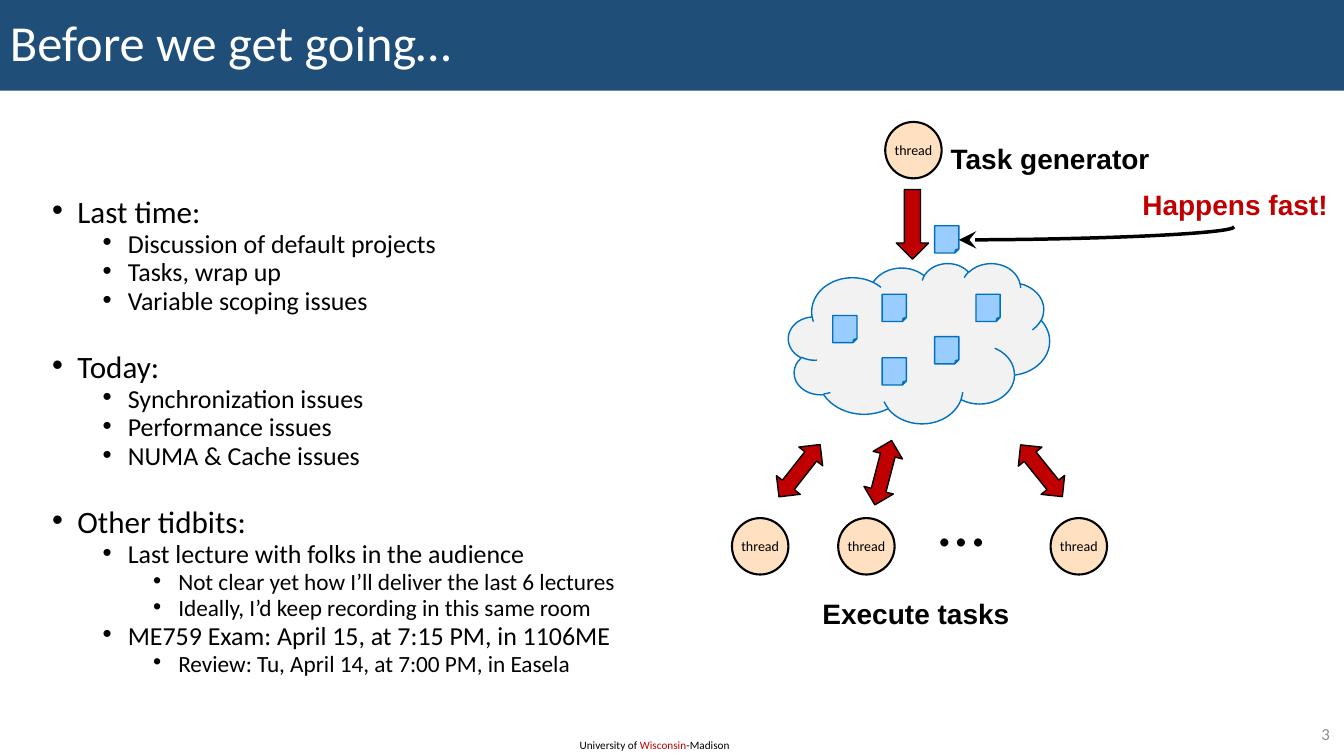
from lxml import etree
from pptx import Presentation
from pptx.dml.color import RGBColor
from pptx.enum.shapes import MSO_CONNECTOR, MSO_SHAPE as Shape
from pptx.enum.text import MSO_ANCHOR as Anchor, PP_ALIGN as Align
from pptx.oxml.ns import qn
from pptx.util import Inches, Pt

COLORS = {
    "band": "1F4E79", "white": "FFFFFF", "black": "000000", "red": "C00000",
    "gray": "8C8C8C", "peach": "FFE0C1", "cloud": "F2F2F2",
    "sheet": "99CCFF", "blue": "0070C0",
}

TITLE = "Before we get going…"
OUTLINE = [
    (0, "Last time:"),
    (1, "Discussion of default projects"),
    (1, "Tasks, wrap up"),
    (1, "Variable scoping issues"),
    (0, "Today:"),
    (1, "Synchronization issues"),
    (1, "Performance issues"),
    (1, "NUMA & Cache issues"),
    (0, "Other tidbits:"),
    (1, "Last lecture with folks in the audience"),
    (2, "Not clear yet how I’ll deliver the last 6 lectures"),
    (2, "Ideally, I’d keep recording in this same room"),
    (1, "ME759 Exam: April 15, at 7:15 PM, in 1106ME"),
    (2, "Review: Tu, April 14, at 7:00 PM, in Easela"),
]
LEVEL_SIZES = [22.2, 18.5, 16.6]
LEVEL_GAPS = [30.5, 5, 5]
FOOTER = [("University of ", "black"), ("Wisconsin", "red"), ("-Madison", "black")]
LABELS = [
    ("Task generator", (9.32, 1.35, 2.19, 0.44), "black"),
    ("Execute tasks", (8.05, 5.87, 2.07, 0.44), "black"),
    ("Happens fast!", (11.22, 1.81, 2.06, 0.44), "red"),
]
SHEETS = [(8.26, 3.13), (8.75, 2.92), (9.68, 2.92), (9.27, 3.34), (8.75, 3.55), (9.27, 2.24)]
WORKER_ARROWS = [(7.78, 4.34, 38.2), (8.61, 4.36, 14.6), (10.18, 4.34, 321.1)]
WORKER_LEFT, WORKER_RIGHT, WORKER_TOP = 7.26, 10.42, 5.14
WORKER_PITCH = (WORKER_RIGHT - WORKER_LEFT) / 3
THREADS = [(8.78, 1.21)] + [
    (WORKER_LEFT + slot * WORKER_PITCH, WORKER_TOP) for slot in (0, 1, 3)
]

deck = Presentation()
deck.slide_width, deck.slide_height = Inches(13.33), Inches(7.5)
page = deck.slides.add_slide(deck.slide_layouts[6])


def color(name):
    return RGBColor.from_string(COLORS[name])


def write(para, text, size=20, ink="black", font="Calibri", bold=False, align=Align.LEFT):
    para.alignment = align
    span = para.add_run()
    span.text = text
    span.font.size = Pt(size)
    span.font.name = font
    span.font.bold = bold
    span.font.color.rgb = color(ink)


def add_box(place, wrap=True, anchor=Anchor.TOP):
    box = page.shapes.add_textbox(*map(Inches, place))
    box.text_frame.word_wrap = wrap
    box.text_frame.vertical_anchor = anchor
    return box.text_frame


def draw(kind, place, fill, line=None, width=1, rotation=0):
    shape = page.shapes.add_shape(kind, *map(Inches, place))
    shape.shadow.inherit = False
    shape.rotation = rotation
    shape.fill.solid()
    shape.fill.fore_color.rgb = color(fill)
    if line:
        shape.line.color.rgb = color(line)
        shape.line.width = Pt(width)
    else:
        shape.line.fill.background()
    return shape


def add_bullet(para, level):
    para.level = level
    props = para._p.get_or_add_pPr()
    props.set("marL", str(Inches(0.25 + 0.5 * level)))
    props.set("indent", str(-Inches(0.25)))
    etree.SubElement(props, qn("a:buFont"), typeface="Arial")
    etree.SubElement(props, qn("a:buChar"), char="•")


footer = add_box((5.65, 7.28, 1.72, 0.24))
for words, ink in FOOTER:
    write(footer.paragraphs[0], words, size=8, ink=ink)

title = draw(Shape.RECTANGLE, (0, 0, 13.33, 0.9), "band").text_frame
title.vertical_anchor = Anchor.MIDDLE
title.paragraphs[0].line_spacing = 0.9
write(title.paragraphs[0], TITLE, size=36, ink="white")

body = add_box((0.42, 1.96, 6.16, 4.95))
for index, (level, words) in enumerate(OUTLINE):
    para = body.add_paragraph() if index else body.paragraphs[0]
    add_bullet(para, level)
    para.line_spacing = 0.7
    para.space_before = Pt(LEVEL_GAPS[level] if index else 0)
    write(para, words, size=LEVEL_SIZES[level])

number = add_box((12.53, 7.13, 0.76, 0.29), anchor=Anchor.MIDDLE)
write(number.paragraphs[0], "3", size=12, ink="gray", align=Align.RIGHT)

draw(Shape.CLOUD, (7.82, 2.61, 2.59, 1.59), "cloud", "blue")
for left, top in SHEETS:
    draw(Shape.FOLDED_CORNER, (left, top, 0.24, 0.27), "sheet", "blue")

draw(Shape.UP_ARROW, (8.89, 1.88, 0.32, 0.69), "red", "black", rotation=180)
for left, top, angle in WORKER_ARROWS:
    draw(Shape.UP_DOWN_ARROW, (left, top, 0.3, 0.66), "red", "black", rotation=angle)

for left, top in THREADS:
    thread = draw(Shape.OVAL, (left, top, 0.56, 0.56), "peach", "black", 1.5).text_frame
    thread.margin_left = thread.margin_right = 0
    thread.vertical_anchor = Anchor.MIDDLE
    write(thread.paragraphs[0], "thread", size=10, align=Align.CENTER)

dots = add_box((9.21, 4.71, 0.66, 0.91), wrap=False)
write(dots.paragraphs[0], "…", size=48)

for words, place, ink in LABELS:
    label = add_box(place, wrap=False)
    write(label.paragraphs[0], words, ink=ink, font="Arial", bold=True, align=Align.CENTER)

pointer = page.shapes.add_connector(
    MSO_CONNECTOR.CURVE, *map(Inches, (10.81, 0.95, 10.94, 3.68))
)
pointer.line.color.rgb = color("black")
pointer.line.width = Pt(2.5)
pointer_props = pointer._element.spPr
pointer_props.find(qn("a:xfrm")).set("rot", str(90 * 60000))
pointer_props.find(qn("a:prstGeom")).set("prst", "curvedConnector2")
pointer_line = pointer_props.find(qn("a:ln"))
etree.SubElement(pointer_line, qn("a:tailEnd"), type="stealth", w="lg", len="lg")
etree.SubElement(pointer_props, qn("a:effectLst"))

deck.save("out.pptx")
